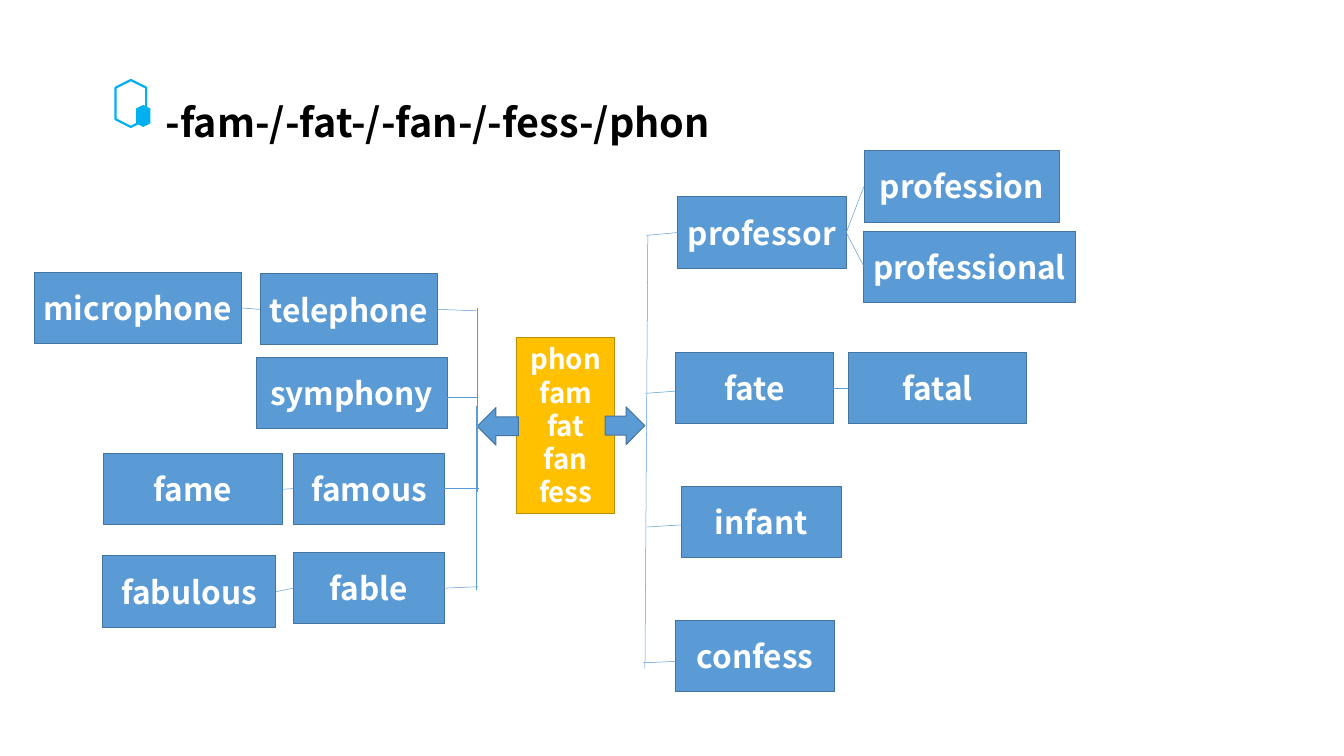
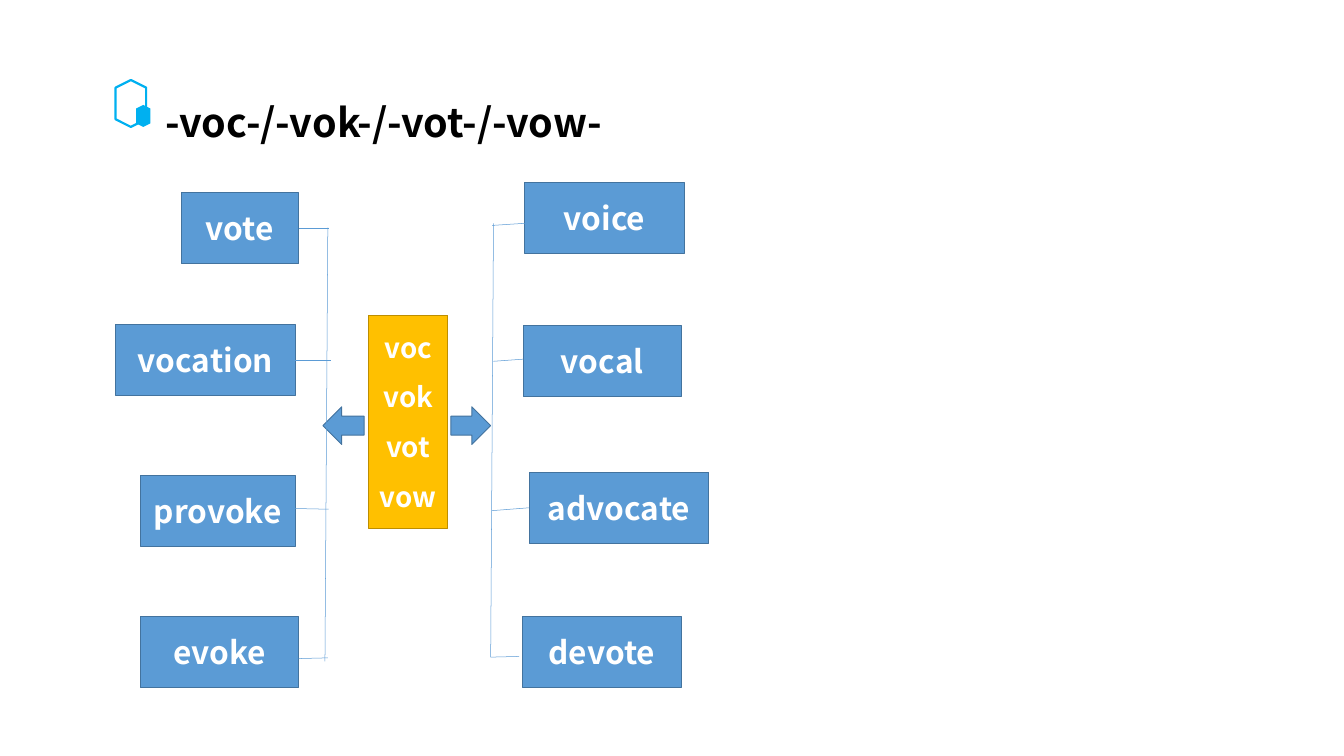
"""Build two word-root maps: roots in the middle, derived words on both sides."""
from lxml import etree
from pptx import Presentation
from pptx.dml.color import RGBColor
from pptx.enum.shapes import MSO_CONNECTOR, MSO_SHAPE
from pptx.enum.text import MSO_ANCHOR, PP_ALIGN
from pptx.oxml.ns import qn
from pptx.util import Pt

PX = 9144
RECT, HEXAGON = MSO_SHAPE.RECTANGLE, MSO_SHAPE.HEXAGON
LEFT_ARROW, RIGHT_ARROW = MSO_SHAPE.LEFT_ARROW, MSO_SHAPE.RIGHT_ARROW
STRAIGHT = MSO_CONNECTOR.STRAIGHT
MIDDLE, LEFT, CENTER = MSO_ANCHOR.MIDDLE, PP_ALIGN.LEFT, PP_ALIGN.CENTER
SIDE_LEFT, SIDE_RIGHT = 1, 3
FONT = "Noto Sans CJK SC"
COLORS = {"blue": "5B9BD5", "blue_edge": "43739E", "gold": "FFC000",
          "gold_edge": "BD8E00", "cyan": "00B0F0", "white": "FFFFFF", "black": "000000"}
TITLE = {"size": Pt(40), "name": FONT, "bold": True}
WORD = {"size": Pt(32), "name": FONT, "bold": True}
ROOT = {"size": Pt(28), "name": FONT, "bold": True}
ROOT_PITCH = 33.6

SLIDES = [
    {
        "title": "-fam-/-fat-/-fan-/-fess-/phon",
        "title_width": 874,
        "roots": ["phon", "fam", "fat", "fan", "fess"],
        "root_box": (727, 474, 137, 248),
        "root_gap": 0,
        "arrows": [(LEFT_ARROW, (671, 573, 58, 53)), (RIGHT_ARROW, (851, 572, 56, 53))],
        "words": {
            "microphone": (48, 383, 292, 100), "telephone": (366, 385, 249, 100),
            "symphony": (360, 502, 269, 100),
            "fame": (146, 638, 251, 100), "famous": (413, 637, 212, 100),
            "fabulous": (144, 781, 244, 102), "fable": (413, 777, 212, 100),
            "professor": (953, 277, 237, 100), "profession": (1215, 211, 275, 102),
            "professional": (1215, 325, 297, 100),
            "fate": (950, 496, 222, 100), "fatal": (1193, 496, 251, 100),
            "infant": (959, 684, 224, 100), "confess": (950, 872, 224, 100),
        },
        "links": [("microphone", "telephone"), ("fame", "famous"), ("fabulous", "fable"),
                  ("professor", "profession"), ("professor", "professional"),
                  ("fate", "fatal")],
        "branches": [("telephone", SIDE_RIGHT, 670, 437), ("famous", SIDE_RIGHT, 674, 687),
                     ("fable", SIDE_RIGHT, 672, 825), ("professor", SIDE_LEFT, 909, 331)],
        "lines": [(671, 433, 671, 692), (670, 571, 670, 830), (911, 331, 907, 940),
                  (629, 559, 672, 559), (908, 553, 950, 550), (910, 741, 959, 738),
                  (904, 932, 950, 930)],
    },
    {
        "title": "-voc-/-vok-/-vot-/-vow-",
        "title_width": 715,
        "roots": ["voc", "vok", "vot", "vow"],
        "root_box": (518, 443, 112, 300),
        "root_gap": ROOT_PITCH / 2,
        "arrows": [(LEFT_ARROW, (454, 572, 58, 53)), (RIGHT_ARROW, (634, 572, 56, 53))],
        "words": {
            "vote": (255, 271, 165, 100), "vocation": (163, 456, 252, 100),
            "provoke": (197, 668, 218, 100), "evoke": (197, 867, 223, 100),
            "voice": (738, 256, 224, 100), "vocal": (736, 458, 222, 100),
            "advocate": (744, 664, 253, 100), "devote": (735, 867, 223, 100),
        },
        "links": [],
        "branches": [("vote", SIDE_RIGHT, 462, 321), ("vocation", SIDE_RIGHT, 465, 506),
                     ("advocate", SIDE_LEFT, 692, 718)],
        "lines": [(461, 320, 457, 930), (694, 314, 690, 924),
                  (415, 715, 462, 716), (420, 926, 461, 925), (692, 317, 738, 314),
                  (694, 508, 736, 505), (690, 924, 730, 923)],
    },
]


def add_box(s, kind, rect, fill=None, edge=None, width=1, lines=(), style=WORD,
            color="white", align=CENTER, pitch=None, gap=0):
    sp = s.shapes.add_shape(kind, *[v * PX for v in rect])
    sp.shadow.inherit = False
    for fmt, name in ((sp.fill, fill), (sp.line.fill, edge)):
        if name:
            fmt.solid()
            fmt.fore_color.rgb = RGBColor.from_string(COLORS[name])
        else:
            fmt.background()
    if edge:
        sp.line.width = Pt(width)
    tf = sp.text_frame
    tf.word_wrap = False
    tf.vertical_anchor = MIDDLE
    for i, text in enumerate(lines):
        p = tf.add_paragraph() if i else tf.paragraphs[0]
        p.alignment = align
        if pitch:
            p.line_spacing = Pt(pitch)
        if i and gap:
            p.space_before = Pt(gap)
        r = p.add_run()
        r.text = text
        for key, value in style.items():
            setattr(r.font, key, value)
        r.font.color.rgb = RGBColor.from_string(COLORS[color])
    return sp


def add_line(s, x1, y1, x2, y2):
    c = s.shapes.add_connector(STRAIGHT, *[v * PX for v in (x1, y1, x2, y2)])
    c.line.color.rgb = RGBColor.from_string(COLORS["blue"])
    c.line.width = Pt(0.5)
    etree.SubElement(c._element.spPr, qn("a:effectLst"))
    return c


prs = Presentation()
prs.slide_width, prs.slide_height = 1890 * PX, 1063 * PX

for page in SLIDES:
    s = prs.slides.add_slide(prs.slide_layouts[6])

    add_box(s, HEXAGON, (151, 124, 66, 43), edge="cyan", width=2.25).rotation = 90
    add_box(s, HEXAGON, (186, 153, 31, 20), fill="cyan").rotation = 90

    tb = s.shapes.add_textbox(223 * PX, 132 * PX, page["title_width"] * PX, 77 * PX)
    tf = tb.text_frame
    tf.word_wrap = True
    tf.vertical_anchor = MIDDLE
    p = tf.paragraphs[0]
    p.alignment = LEFT
    r = p.add_run()
    r.text = page["title"]
    for key, value in TITLE.items():
        setattr(r.font, key, value)
    r.font.color.rgb = RGBColor.from_string(COLORS["black"])

    boxes = {word: add_box(s, RECT, rect, "blue", "blue_edge", lines=[word])
             for word, rect in page["words"].items()}
    add_box(s, RECT, page["root_box"], "gold", "gold_edge", lines=page["roots"],
            style=ROOT, pitch=ROOT_PITCH, gap=page["root_gap"])
    for kind, rect in page["arrows"]:
        add_box(s, kind, rect, "blue", "blue_edge")

    for ends in page["lines"]:
        add_line(s, *ends)
    for word, side, x, y in page["branches"]:
        add_line(s, x, y, x, y).begin_connect(boxes[word], side)
    for first, second in page["links"]:
        c = add_line(s, 0, 0, 0, 0)
        c.begin_connect(boxes[first], SIDE_RIGHT)
        c.end_connect(boxes[second], SIDE_LEFT)

prs.save("out.pptx")
